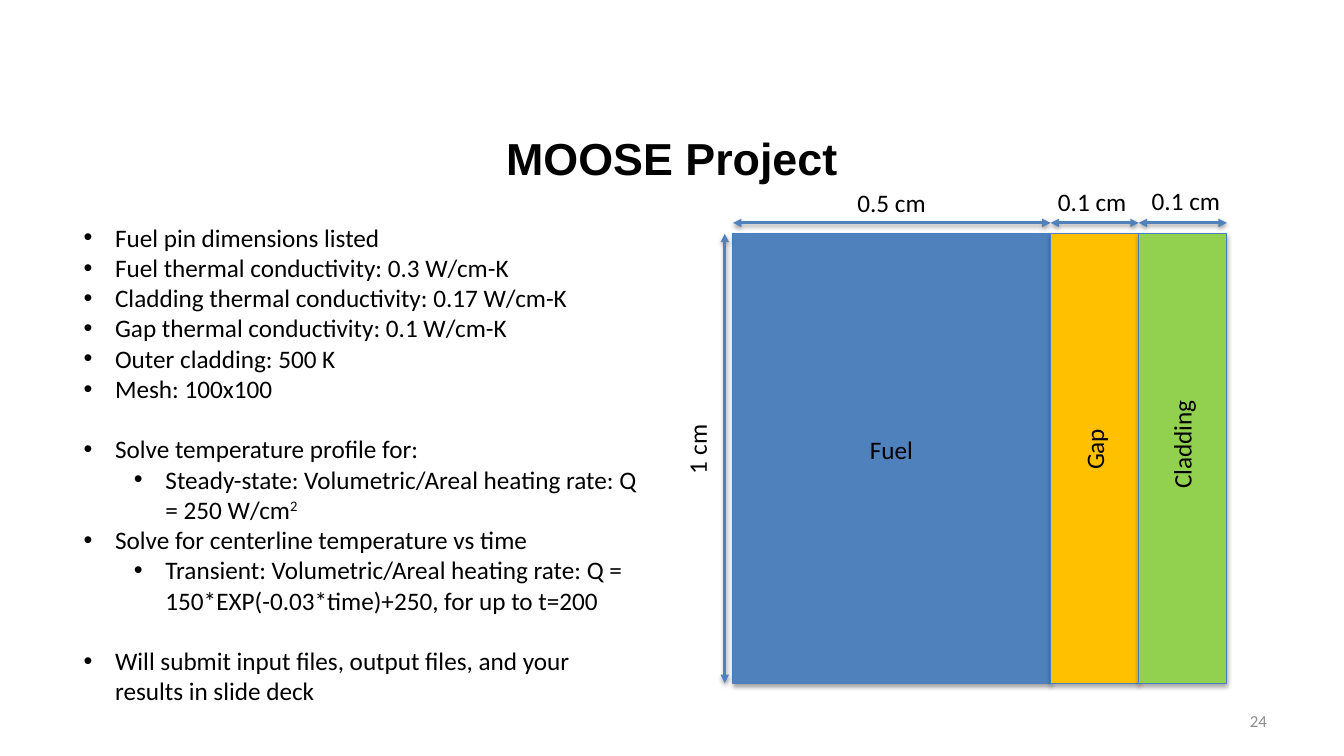
from dataclasses import dataclass

from lxml import etree
from pptx import Presentation
from pptx.dml.color import RGBColor
from pptx.enum import shapes, text
from pptx.oxml import ns
from pptx.util import Pt


@dataclass(frozen=True)
class Theme:
    ink: str = "000000"
    muted: str = "8C8C8C"
    fuel: str = "4F81BD"
    gap: str = "FFC000"
    cladding: str = "92D050"
    outline: str = "4B7EBC"
    arrow: str = "4F81BD"
    heading_font: str = "Arial"
    body_font: str = "Calibri"
    heading_size: float = 32
    body_size: float = 18
    number_size: float = 12


THEME = Theme()
ALIGN = text.PP_ALIGN
BODY = {"name": THEME.body_font, "size": Pt(THEME.body_size)}
HEADING = {"name": THEME.heading_font, "size": Pt(THEME.heading_size), "bold": True}
NUMBER = {"name": THEME.body_font, "size": Pt(THEME.number_size)}

PIN_LEFT, PIN_TOP, PIN_HEIGHT = 523.6, 167, 321
LABEL_WIDTH, LABEL_HEIGHT = 129, 29
BLANK_LINE = 21.6

LAYERS = [
    ("Fuel", 226.8, THEME.fuel, 0, (636.8, 321), "0.5 cm", (636.8, 144.7)),
    ("Gap", 63, THEME.gap, 270, (781.6, 321), "0.1 cm", (780.1, 144)),
    ("Cladding", 63, THEME.cladding, 270, (844.2, 317.5), "0.1 cm", (847.1, 143.3)),
]

TASKS = [
    (0, "Fuel pin dimensions listed", "", 0),
    (0, "Fuel thermal conductivity: 0.3 W/cm-K", "", 0),
    (0, "Cladding thermal conductivity: 0.17 W/cm-K", "", 0),
    (0, "Gap thermal conductivity: 0.1 W/cm-K", "", 0),
    (0, "Outer cladding: 500 K", "", 0),
    (0, "Mesh: 100x100", "", 0),
    (0, "Solve temperature profile for:", "", BLANK_LINE),
    (1, "Steady-state: Volumetric/Areal heating rate: Q = 250 W/cm", "2", 0),
    (0, "Solve for centerline temperature vs time", "", 0),
    (1, "Transient: Volumetric/Areal heating rate: Q = "
        "150*EXP(-0.03*time)+250, for up to t=200", "", 0),
    (0, "Will submit input files, output files, and your results in slide deck",
     "", BLANK_LINE),
]


def apply_format(target, values):
    for name, value in values.items():
        setattr(target, name, value)


def add_element(parent, tag, **attributes):
    element = etree.SubElement(parent, ns.qn(tag))
    for name, value in attributes.items():
        element.set(name, str(value))
    return element


def add_shadow(owner, distance, opacity):
    effects = add_element(owner.element.spPr, "a:effectLst")
    shadow = add_element(effects, "a:outerShdw", blurRad=Pt(3.1), dist=Pt(distance),
                         dir=90 * 60000, rotWithShape=0)
    black = add_element(shadow, "a:srgbClr", val=THEME.ink)
    add_element(black, "a:alpha", val=opacity * 1000)


def format_run(run, font, color):
    apply_format(run.font, font)
    run.font.color.rgb = RGBColor.from_string(color)


def add_frame(slide, left, top, width, height, anchor=text.MSO_ANCHOR.TOP, rotation=0):
    box = slide.shapes.add_textbox(Pt(left), Pt(top), Pt(width), Pt(height))
    box.rotation = rotation
    apply_format(box.text_frame, {"word_wrap": True, "vertical_anchor": anchor})
    return box.text_frame


def add_line_of_text(frame, words, font, align, color=THEME.ink):
    paragraph = frame.paragraphs[0]
    paragraph.alignment = align
    run = paragraph.add_run()
    run.text = words
    format_run(run, font, color)


def add_label(slide, words, center, rotation=0):
    x, y = center
    frame = add_frame(slide, x - LABEL_WIDTH / 2, y - LABEL_HEIGHT / 2,
                      LABEL_WIDTH, LABEL_HEIGHT, rotation=rotation)
    add_line_of_text(frame, words, BODY, ALIGN.CENTER)


def add_layer(slide, left, width, color):
    layer = slide.shapes.add_shape(shapes.MSO_SHAPE.RECTANGLE, Pt(left), Pt(PIN_TOP),
                                   Pt(width), Pt(PIN_HEIGHT))
    layer.fill.solid()
    layer.fill.fore_color.rgb = RGBColor.from_string(color)
    layer.line.color.rgb = RGBColor.from_string(THEME.outline)
    layer.line.width = Pt(0.75)
    add_shadow(layer, 1.8, 35)


def add_dimension(slide, start, end):
    arrow = slide.shapes.add_connector(shapes.MSO_CONNECTOR.STRAIGHT,
                                       *(Pt(value) for value in start + end))
    arrow.line.color.rgb = RGBColor.from_string(THEME.arrow)
    arrow.line.width = Pt(2)
    outline = arrow.element.spPr.find(ns.qn("a:ln"))
    for tip in ("a:headEnd", "a:tailEnd"):
        add_element(outline, tip, type="triangle")
    add_shadow(arrow, 1.6, 38)


def add_tasks(slide):
    frame = add_frame(slide, 52.6, 155, 414, 356.4)
    for index, (level, words, exponent, gap) in enumerate(TASKS):
        paragraph = frame.add_paragraph() if index else frame.paragraphs[0]
        properties = paragraph._p.get_or_add_pPr()
        properties.set("marL", str(Pt(22.5 + 36 * level)))
        properties.set("indent", str(Pt(-22.5)))
        add_element(properties, "a:buFont", typeface="Arial")
        add_element(properties, "a:buChar", char="•")
        paragraph.level = level
        if gap:
            paragraph.space_before = Pt(gap)
        run = paragraph.add_run()
        run.text = words
        format_run(run, BODY, THEME.ink)
        if exponent:
            raised = paragraph.add_run()
            raised.text = exponent
            format_run(raised, BODY, THEME.ink)
            raised._r.get_or_add_rPr().set("baseline", "30000")


def add_fuel_pin(slide):
    left = PIN_LEFT
    for name, width, color, rotation, center, size, size_center in LAYERS:
        add_layer(slide, left, width, color)
        add_dimension(slide, (left, 159.2), (left + width, 159.2))
        add_label(slide, name, center, rotation)
        add_label(slide, size, size_center)
        left += width
    add_dimension(slide, (517.7, PIN_TOP + PIN_HEIGHT), (517.7, PIN_TOP))
    add_label(slide, "1 cm", (497.9, 321), 270)


def main():
    deck = Presentation()
    apply_format(deck, {"slide_width": Pt(960), "slide_height": Pt(540)})
    slide = deck.slides.add_slide(deck.slide_layouts[6])
    middle = text.MSO_ANCHOR.MIDDLE
    title = add_frame(slide, 48, 70.8, 864, 84.2, middle)
    add_line_of_text(title, "MOOSE Project", HEADING, ALIGN.CENTER)
    number = add_frame(slide, 688, 500.4, 224, 28.8, middle)
    add_line_of_text(number, "24", NUMBER, ALIGN.RIGHT, THEME.muted)
    add_fuel_pin(slide)
    add_tasks(slide)
    deck.save("out.pptx")


if __name__ == "__main__":
    main()
